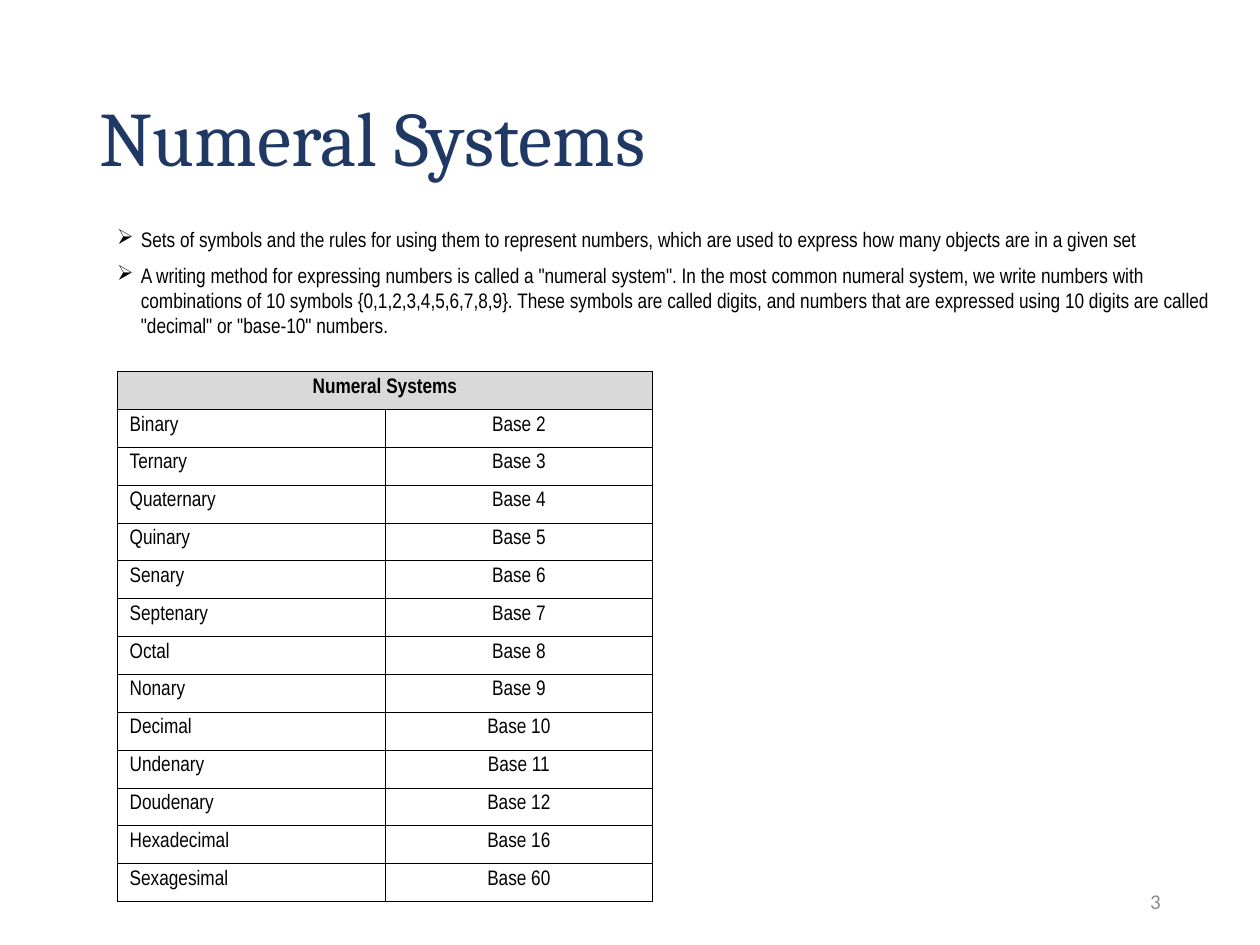
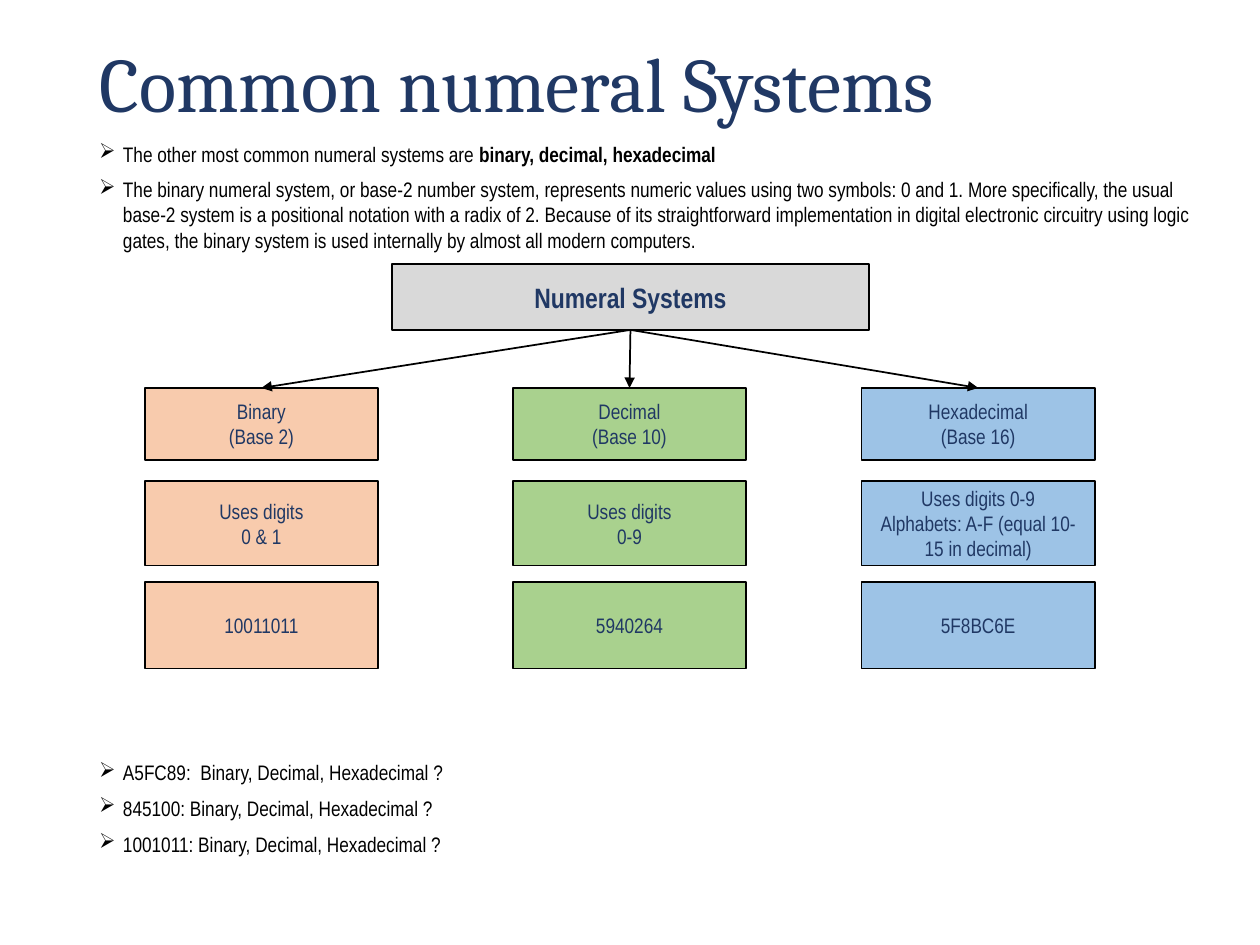
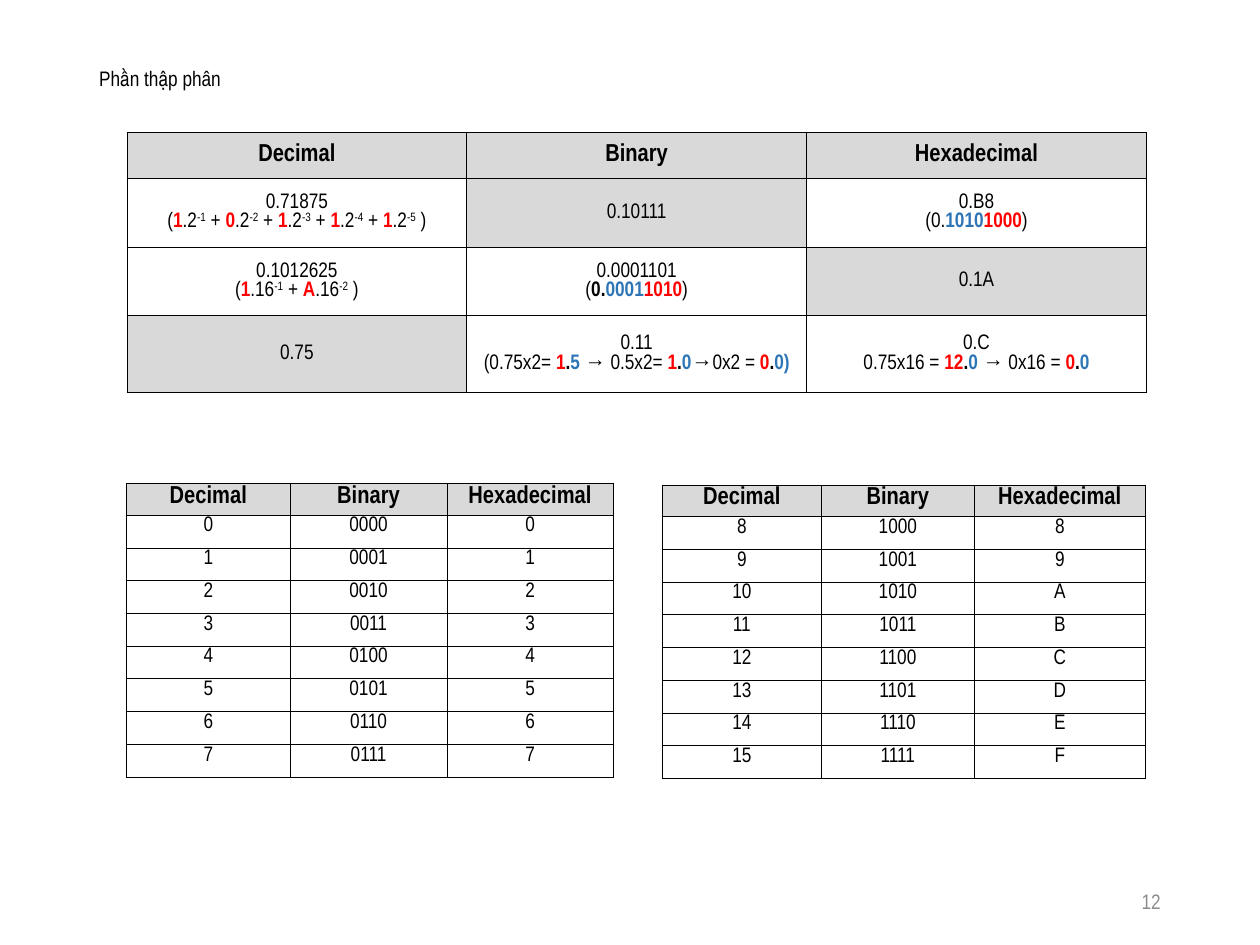
from lxml import etree
from pptx import Presentation
from pptx.dml.color import RGBColor
from pptx.enum.shapes import MSO_CONNECTOR, MSO_SHAPE
from pptx.enum.text import MSO_ANCHOR, MSO_AUTO_SIZE, PP_ALIGN
from pptx.oxml.ns import qn
from pptx.util import Cm, Pt

LEFT, CENTER, RIGHT = PP_ALIGN.LEFT, PP_ALIGN.CENTER, PP_ALIGN.RIGHT
TOP, MIDDLE = MSO_ANCHOR.TOP, MSO_ANCHOR.MIDDLE
NO_FIT, GROW = MSO_AUTO_SIZE.NONE, MSO_AUTO_SIZE.SHAPE_TO_FIT_TEXT
RECT, STRAIGHT = MSO_SHAPE.RECTANGLE, MSO_CONNECTOR.STRAIGHT

NAVY = RGBColor(0x20, 0x38, 0x64)
BLACK = RGBColor(0x00, 0x00, 0x00)
GRAY = RGBColor(0xD9, 0xD9, 0xD9)
PAGE_GRAY = RGBColor(0x8C, 0x8C, 0x8C)
RED = RGBColor(0xFF, 0x00, 0x00)
BLUE = RGBColor(0x2E, 0x75, 0xB6)
PEACH = RGBColor(0xF8, 0xCB, 0xAD)
GREEN = RGBColor(0xA9, 0xD1, 0x8E)
SKY = RGBColor(0x9D, 0xC3, 0xE6)

BODY_FONT, TITLE_FONT, PAGE_FONT = "Arial Narrow", "Cambria", "Calibri"
SUPER = "super"
HEADINGS = ["Decimal", "Binary", "Hexadecimal"]


class Deck:
    """Holds the shared style and the current slide, and draws each kind of element."""

    def __init__(self):
        self.prs = Presentation()
        self.prs.slide_width, self.prs.slide_height = Cm(25.4), Cm(19.05)
        self.slide = None

    def new_slide(self, title=None, top=0):
        layout = self.prs.slide_layouts[5 if title else 6]
        self.slide = self.prs.slides.add_slide(layout)
        if title:
            sp = self.slide.shapes.title
            sp.left, sp.top, sp.width, sp.height = Cm(1.75), Cm(top), Cm(21.9), Cm(3.68)
            tf = sp.text_frame
            tf.auto_size, tf.vertical_anchor = NO_FIT, MIDDLE
            self.fill_text(tf, [title], size=44, font=TITLE_FONT, color=NAVY, spacing=0.9)

    def fill_text(self, tf, lines, size=12, font=BODY_FONT, color=BLACK, bold=False,
                  align=LEFT, spacing=None):
        tf.word_wrap = True
        for i, line in enumerate(lines):
            p = tf.add_paragraph() if i else tf.paragraphs[0]
            p.alignment = align
            if spacing:
                p.line_spacing = spacing
            p.font.size, p.font.name, p.font.bold = Pt(size), font, bold
            p.font.color.rgb = color
            for part in [line] if isinstance(line, str) else line:
                text, mark = (part, None) if isinstance(part, str) else part
                r = p.add_run()
                r.text = text
                if mark == SUPER:
                    r.font._element.set("baseline", "30000")
                elif mark is not None:
                    r.font.bold = True
                    r.font.color.rgb = mark

    def text(self, at, lines, anchor=MIDDLE, **style):
        tf = self.slide.shapes.add_textbox(*map(Cm, at)).text_frame
        tf.vertical_anchor = anchor
        self.fill_text(tf, lines, **style)
        return tf

    def bullets(self, at, lines):
        tf = self.text(at, lines, anchor=TOP)
        tf.auto_size = GROW
        for p in tf.paragraphs:
            p.space_before = Pt(6)
            pPr = p._p.get_or_add_pPr()
            pPr.set("marL", str(Cm(0.48)))
            pPr.set("indent", str(-Cm(0.48)))
            bullet = etree.Element(qn("a:buChar"), char="\u27a2")
            pPr.find(qn("a:spcBef")).addnext(bullet)

    def page_number(self, number, font=BODY_FONT):
        self.text((17.93, 17.65, 5.72, 1.02), [number], font=font, color=PAGE_GRAY, align=RIGHT)

    def box(self, at, lines, fill, **style):
        sp = self.slide.shapes.add_shape(RECT, *map(Cm, at))
        sp.shadow.inherit = False
        sp.fill.solid()
        sp.fill.fore_color.rgb = fill
        sp.line.color.rgb, sp.line.width = BLACK, Pt(1)
        sp.text_frame.vertical_anchor = MIDDLE
        self.fill_text(sp.text_frame, lines, color=NAVY, align=CENTER, **style)
        return sp

    def arrow(self, start, end):
        cn = self.slide.shapes.add_connector(STRAIGHT, 0, 0, 0, 0)
        cn.begin_connect(start, 2)
        cn.end_connect(end, 0)
        cn.line.color.rgb, cn.line.width = BLACK, Pt(1)
        etree.SubElement(cn.line._get_or_add_ln(), qn("a:tailEnd"), type="triangle")
        etree.SubElement(cn._element.spPr, qn("a:effectLst"))

    def table(self, at, cols, heights):
        frame = self.slide.shapes.add_table(
            len(heights), len(cols), *map(Cm, at), Cm(sum(cols)), Cm(sum(heights)))
        table = frame.table
        table.first_row = table.horz_banding = False
        for column, width in zip(table.columns, cols):
            column.width = Cm(width)
        for row, height in zip(table.rows, heights):
            row.height = Cm(height)
        for cell in table.iter_cells():
            self.border(cell)
            cell.fill.background()
        return table

    def cell(self, cell, lines, fill=None, anchor=TOP, compact=False, **style):
        cell.vertical_anchor = anchor
        if compact:
            cell.margin_left = cell.margin_right = Cm(0.15)
            cell.margin_top = cell.margin_bottom = 0
            style["spacing"] = 1.07
        if fill is not None:
            cell.fill.solid()
            cell.fill.fore_color.rgb = fill
        self.fill_text(cell.text_frame, lines, **style)

    def border(self, cell):
        tcPr = cell._tc.get_or_add_tcPr()
        for side in "LRTB":
            ln = etree.SubElement(tcPr, qn(f"a:ln{side}"), w=str(Pt(0.5)))
            fill = etree.SubElement(ln, qn("a:solidFill"))
            etree.SubElement(fill, qn("a:srgbClr"), val=str(BLACK))

    def header(self, table, **style):
        for c, heading in enumerate(HEADINGS):
            self.cell(table.cell(0, c), [heading], GRAY, size=14, bold=True,
                      align=CENTER, **style)


def power_sum(base, digits):
    parts = ["("]
    for i, digit in enumerate(digits, 1):
        parts += [" + "] if i > 1 else []
        parts += [(digit, RED), f".{base}", (f"-{i}", SUPER)]
    return parts + [" )"]


def product(whole, fraction):
    return [(whole, RED), (".", BLACK), (fraction, BLUE)]


def numeral_systems(deck):
    deck.new_slide("Numeral Systems", 1.02)
    deck.page_number("3", PAGE_FONT)
    deck.bullets((2.11, 4.45, 23.06, 9.45), [
        "Sets of symbols and the rules for using them to represent numbers, which are used "
        "to express how many objects are in a given set",
        'A writing method for expressing numbers is called a "numeral system". In the most '
        "common numeral system, we write numbers with combinations of 10 symbols "
        "{0,1,2,3,4,5,6,7,8,9}. These symbols are called digits, and numbers that are "
        'expressed using 10 digits are called "decimal" or "base-10" numbers.',
    ])
    systems = [
        ("Binary", 2), ("Ternary", 3), ("Quaternary", 4), ("Quinary", 5), ("Senary", 6),
        ("Septenary", 7), ("Octal", 8), ("Nonary", 9), ("Decimal", 10), ("Undenary", 11),
        ("Doudenary", 12), ("Hexadecimal", 16), ("Sexagesimal", 60),
    ]
    table = deck.table((2.36, 7.49), [5.4, 5.4], [0.76] * (len(systems) + 1))
    table.cell(0, 0).merge(table.cell(0, 1))
    deck.cell(table.cell(0, 0), ["Numeral Systems"], GRAY, bold=True, align=CENTER)
    for r, (name, base) in enumerate(systems, 1):
        deck.cell(table.cell(r, 0), [name])
        deck.cell(table.cell(r, 1), [f"Base {base}"], align=CENTER)


def common_systems(deck):
    deck.new_slide("Common numeral Systems", -0.08)
    deck.bullets((1.75, 2.72, 23.06, 3.3), [
        ["The other most common numeral systems are ", ("binary, decimal, hexadecimal", BLACK)],
        "The binary numeral system, or base-2 number system, represents numeric values using "
        "two symbols: 0 and 1. More specifically, the usual base-2 system is a positional "
        "notation with a radix of 2. Because of its straightforward implementation in digital "
        "electronic circuitry using logic gates, the binary system is used internally by "
        "almost all modern computers.",
    ])
    root = deck.box((7.9, 5.33, 9.62, 1.32), ["Numeral Systems"], GRAY, size=16, bold=True)
    bands = [(7.82, 1.45), (9.7, 1.7), (11.73, 1.75)]
    columns = [
        (2.92, PEACH, [["Binary", "(Base 2)"], ["Uses digits", "0 & 1"], ["10011011"]]),
        (10.34, GREEN, [["Decimal", "(Base 10)"], ["Uses digits", "0-9"], ["5940264"]]),
        (17.37, SKY, [["Hexadecimal", "(Base 16)"],
                      ["Uses digits 0-9", "Alphabets: A-F (equal 10-15 in decimal)"],
                      ["5F8BC6E"]]),
    ]
    for left, fill, texts in columns:
        boxes = [deck.box((left, top, 4.7, height), lines, fill)
                 for (top, height), lines in zip(bands, texts)]
        deck.arrow(root, boxes[0])
    deck.bullets((1.75, 15.19, 23.06, 2.24), [
        f"{number} Binary, Decimal, Hexadecimal ?" for number in ("A5FC89: ", "845100:", "1001011:")
    ])


def fractions(deck):
    deck.new_slide()
    deck.page_number("12")
    deck.text((1.75, 1.02, 21.9, 1.19), ["Phần thập phân"], spacing=0.9)
    rows = [
        [["0.71875", power_sum(2, "10111")],
         ["0.10111"],
         ["0.B8", ["(0.", ("1010", BLUE), ("1000", RED), ")"]]],
        [["0.1012625", power_sum(16, "1A")],
         ["0.0001101", ["(", ("0.", BLACK), ("0001", BLUE), ("1010", RED), ")"]],
         ["0.1A"]],
        [["0.75"],
         ["0.11", ["(0.75x2= ", *product("1", "5 "), "→ 0.5x2= ", *product("1", "0"),
                   "→0x2 = ", *product("0", "0)")]],
         ["0.C", ["0.75x16 = ", *product("12", "0 "), "→ 0x16 = ", *product("0", "0")]]],
    ]
    table = deck.table((2.56, 2.67), [6.85] * 3, [0.92, 1.39, 1.39, 1.55])
    deck.header(table, anchor=MIDDLE)
    for r, row in enumerate(rows, 1):
        for c, lines in enumerate(row):
            given = GRAY if len(lines) == 1 else None
            deck.cell(table.cell(r, c), lines, given, anchor=MIDDLE, align=CENTER)

    digit_tables = [
        ((2.55, 9.75), [3.3, 3.16, 3.35], 0.5, range(8)),
        ((13.35, 9.78), [3.21, 3.08, 3.45], 0.62, range(8, 16)),
    ]
    for at, cols, head, numbers in digit_tables:
        table = deck.table(at, cols, [head] + [0.66] * len(numbers))
        deck.header(table, compact=True)
        for r, n in enumerate(numbers, 1):
            for c, value in enumerate((f"{n}", f"{n:04b}", f"{n:X}")):
                deck.cell(table.cell(r, c), [value], compact=True, align=CENTER)


deck = Deck()
numeral_systems(deck)
common_systems(deck)
fractions(deck)
deck.prs.save("out.pptx")
